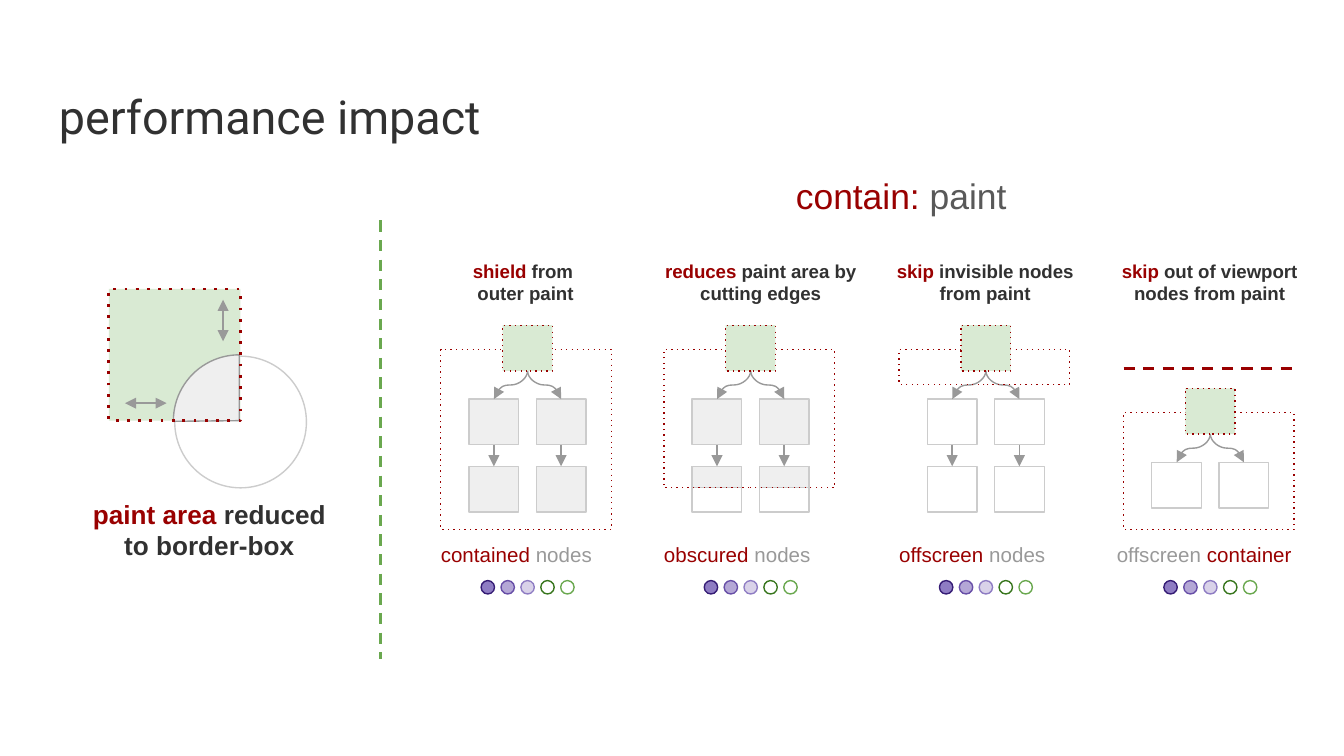
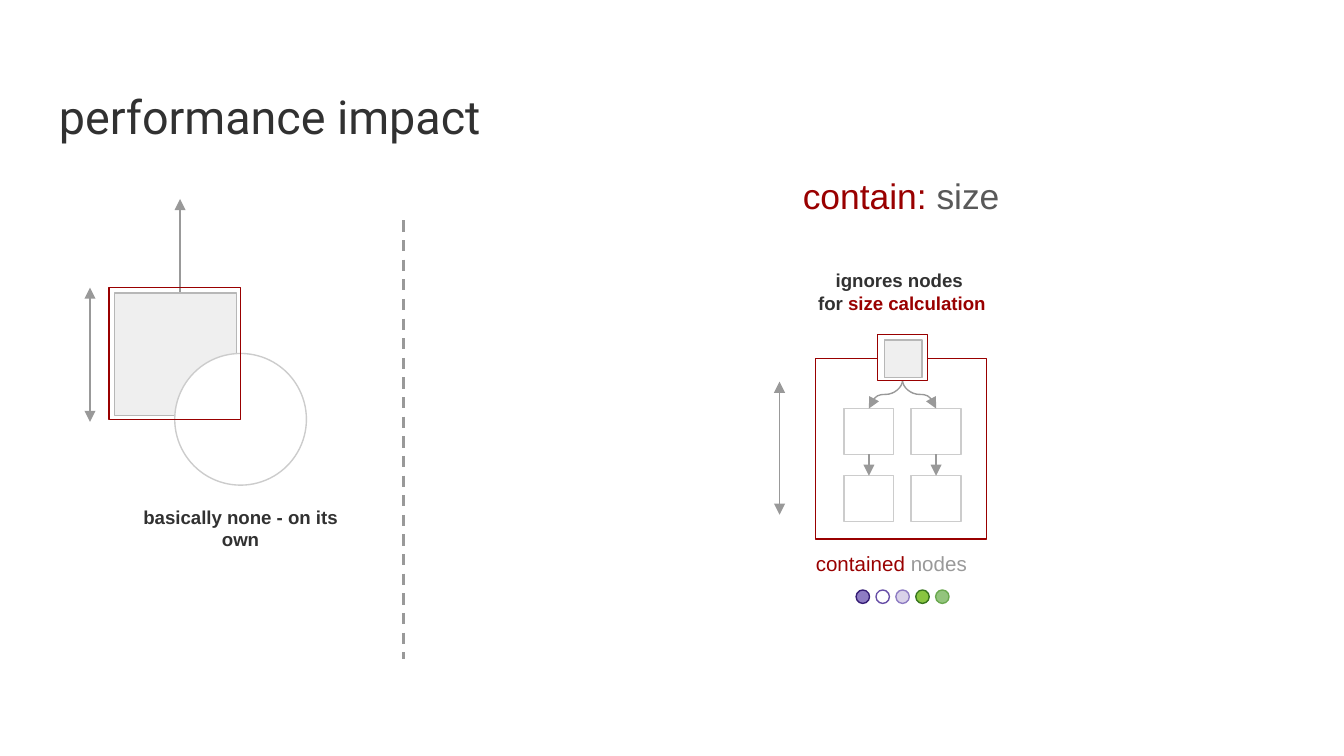
from lxml.etree import SubElement as Sub
from pptx import Presentation
from pptx.dml.color import RGBColor as RGB
from pptx.enum.shapes import MSO_CONNECTOR as Link, MSO_SHAPE as Form
from pptx.enum.text import MSO_ANCHOR as Anchor, PP_ALIGN as Align
from pptx.oxml.ns import qn
from pptx.util import Inches, Pt

WIDE = 10  # the grid: ten square columns across the slide
HIGH = WIDE * 9 / 16
RED, INK, SLATE, GREY = "990000", "313131", "595959", "999999"
PALE, EDGE, RIM, MINT, LEAF = "EFEFEF", "CCCCCC", "B7B7B7", "D9EAD3", "6AA84F"
WHITE = "FFFFFF"

NODE_W, NODE_H = 0.37, 0.34
STEP = 0.5        # from one node of a tree to the next, both ways
ROOT_X = 0.46     # root node, from the left of its tree
NODE_X = 0.21     # first column of nodes
NODE_Y = 0.55     # first row of nodes, from the top of the root
FRAME_Y, FRAME_W = 0.18, 1.27
HALF_H = 0.16
SIDE = 0.98       # the large square and circle at the left

RATING = [("8E7CC3", "351C75"), ("B4A7D6", "674EA7"), ("D9D2E9", "8E7CC3"),
          (WHITE, "38761D"), (WHITE, LEAF)]
SIZE_RATING = [RATING[0], (WHITE, "674EA7"), RATING[2],
               ("89C540", "38761D"), ("93C47D", LEAF)]


def tint(hue):
    return RGB.from_string(hue)


def grid(*spans):
    return [Inches(span) for span in spans]


def stroke(item, hue, width=0.75, dash=None, ends=()):
    """Style a line; ends holds any of headEnd and tailEnd, in that order."""
    line = item.line
    line.color.rgb = tint(hue)
    line.width = Pt(width)
    ln = item.element.spPr.find(qn("a:ln"))
    if dash:
        Sub(ln, qn("a:prstDash"), val=dash)
    for end in ends:
        Sub(ln, qn("a:" + end), type="triangle")


def draw(slide, form, box, fill=None, edge=None, width=0.75, dash=None):
    item = slide.shapes.add_shape(form, *grid(*box))
    item.shadow.inherit = False
    if fill:
        item.fill.solid()
        item.fill.fore_color.rgb = tint(fill)
    else:
        item.fill.background()
    if edge:
        stroke(item, edge, width, dash)
    else:
        item.line.fill.background()
    return item


def join(slide, start, stop, hue=GREY, kind=Link.STRAIGHT, **style):
    link = slide.shapes.add_connector(kind, *grid(*start, *stop))
    stroke(link, hue, **style)
    Sub(link.element.spPr, qn("a:effectLst"))
    return link


def span(slide, start, stop):
    """Draw an arrow with a head at both ends."""
    join(slide, start, stop, ends=("headEnd", "tailEnd"))


def bend(slide, start, stop):
    """Draw an S-curved arrow that leaves and arrives vertically."""
    (x1, y1), (x2, y2) = start, stop
    mid_x, mid_y = (x1 + x2) / 2, (y1 + y2) / 2
    left = x2 < x1
    dx = (y2 - y1) / 2 * (1 if left else -1)
    dy = abs(x2 - x1) / 2
    link = join(slide, (mid_x - dx, mid_y - dy), (mid_x + dx, mid_y + dy),
                kind=Link.CURVE, ends=("tailEnd",))
    turn = 90 if left else 270
    link.element.spPr.find(qn("a:xfrm")).set("rot", str(turn * 60000))


def write(slide, box, *paras, size=10, bold=False, face="Arial",
          align=Align.CENTER, anchor=Anchor.MIDDLE, inset=0, loose=False):
    """Each paragraph is a list of (text, colour); a newline is a line break."""
    frame = slide.shapes.add_textbox(*grid(*box)).text_frame
    pad = Inches(inset)
    look = dict(word_wrap=True, vertical_anchor=anchor, margin_left=pad,
                margin_right=pad, margin_top=pad, margin_bottom=pad)
    for name, value in look.items():
        setattr(frame, name, value)
    for i, runs in enumerate(paras):
        para = frame.add_paragraph() if i else frame.paragraphs[0]
        para.alignment = align
        if loose:
            para.line_spacing, para.space_after = 1.15, Pt(12)
        for words, hue in runs:
            for j, part in enumerate(words.split("\n")):
                if j:
                    para.add_line_break()
                    Sub(para._p[-1], qn("a:rPr"), sz=str(size * 100))
                run = para.add_run()
                run.text = part
                font = dict(name=face, size=Pt(size), bold=bold)
                for name, value in font.items():
                    setattr(run.font, name, value)
                run.font.color.rgb = tint(hue)


def start(deck, topic, rule_x, rule_hue):
    """Add a slide with the title, the topic and the dashed divider."""
    slide = deck.slides.add_slide(deck.slide_layouts[6])
    style = dict(anchor=Anchor.TOP, inset=0.1, loose=True)
    write(slide, (0.34, 0.49, 3.79, 0.63), [("performance impact", INK)],
          size=25, face="Roboto", align=Align.LEFT, **style)
    write(slide, (4.28, 1.15, 4.85, 0.68),
          [("contain: ", RED), (topic, SLATE)], size=19, **style)
    join(slide, (rule_x, 1.64), (rule_x, 4.9), rule_hue, width=1.5, dash="dash")
    return slide


def tree(slide, x, y, tall, rows=2, fill=None, half=False, root=MINT, dash="dot"):
    """Draw a root with two columns of nodes, and a frame of the given height."""
    top = x + ROOT_X + NODE_W / 2, y + NODE_H
    for col in range(2):
        left = x + NODE_X + col * STEP
        mid = left + NODE_W / 2
        for row in range(rows):
            node_y = y + NODE_Y + row * STEP
            cut = half and row == rows - 1
            draw(slide, Form.RECTANGLE, (left, node_y, NODE_W, NODE_H),
                 None if cut else fill, EDGE)
            if cut:
                draw(slide, Form.RECTANGLE, (left, node_y, NODE_W, HALF_H),
                     fill, EDGE)
            if row:
                join(slide, (mid, node_y - STEP + NODE_H), (mid, node_y),
                     ends=("tailEnd",))
            else:
                bend(slide, top, (mid, node_y))
    draw(slide, Form.RECTANGLE, (x, y + FRAME_Y, FRAME_W, tall),
         edge=RED, dash=dash)
    draw(slide, Form.RECTANGLE, (x + ROOT_X, y, NODE_W, NODE_H),
         root, RED, dash=dash)


def legend(slide, x, y, head, label, rating=RATING, shift=-0.09, nudge=0):
    """Put the heading above a tree, and its label and rating below."""
    write(slide, (x + shift, y, 1.46, 0.26), *head, bold=True)
    write(slide, (x + nudge, y + 2.04, FRAME_W - 2 * nudge, 0.23), label,
          size=11, align=Align.LEFT)
    for i, (fill, edge) in enumerate(rating):
        draw(slide, Form.OVAL, (x + 0.3 + i * 0.148, y + 2.35, 0.1, 0.1),
             fill, edge)


def paint(deck):
    slide = start(deck, "paint", 2.83, LEAF)
    box = (0.81, 2.15, SIDE, SIDE)
    draw(slide, Form.OVAL, (1.3, 2.65, SIDE, SIDE), WHITE, EDGE)
    draw(slide, Form.RECTANGLE, box, MINT)
    wedge = draw(slide, Form.PIE, (1.29, 2.64, SIDE, SIDE), PALE, GREY)
    wedge.adjustments[0], wedge.adjustments[1] = 107.65, 162
    draw(slide, Form.RECTANGLE, box, edge=RED, width=1.5, dash="dot")
    span(slide, (0.93, 3), (1.24, 3))
    span(slide, (1.66, 2.23), (1.66, 2.54))
    write(slide, (0.43, 3.73, 2.31, 0.42),
          [("paint area ", RED), ("reduced \nto border-box ", INK)],
          size=14, bold=True)

    y = 2.42
    cases = [
        (3.28, y, dict(tall=1.34, fill=PALE), "shield ", "from \nouter paint",
         [("contained", RED), (" nodes", GREY)], dict(shift=-0.1)),
        (4.94, y, dict(tall=1.03, fill=PALE, half=True), "reduces ",
         "paint area by cutting edges",
         [("obscured ", RED), ("nodes", GREY)], dict(shift=-0.01)),
        (6.69, y, dict(tall=0.26), "skip ", "invisible nodes from paint",
         [("offscreen", RED), (" nodes", GREY)], {}),
        (8.36, 2.89, dict(tall=0.87, rows=1, fill=WHITE), "skip ",
         "out of viewport\nnodes from paint",
         [("offscreen ", GREY), ("container", RED)], dict(nudge=-0.05)),
    ]
    for x, top, shape, verb, rest, label, moves in cases:
        tree(slide, x, top, **shape)
        legend(slide, x, 1.97, [[(verb, RED), (rest, INK)]], label, **moves)
    join(slide, (8.36, 2.74), (9.64, 2.74), RED, width=1.5, dash="dash")


def size(deck):
    slide = start(deck, "size", 3, GREY)
    span(slide, (0.67, 2.14), (0.67, 3.14))
    span(slide, (1.34, 1.48), (1.34, 2.47))
    draw(slide, Form.RECTANGLE, (0.85, 2.18, 0.91, 0.91), PALE, RIM)
    draw(slide, Form.OVAL, (1.3, 2.63, SIDE, SIDE), WHITE, EDGE)
    draw(slide, Form.RECTANGLE, (0.81, 2.14, SIDE, SIDE), edge=RED)
    write(slide, (1.06, 3.8, 1.46, 0.26), [("basically none - on its own", INK)],
          bold=True)

    x, y = 6.07, 2.49
    tree(slide, x, y, 1.34, root=WHITE, dash=None)
    draw(slide, Form.RECTANGLE, (x + 0.51, y + 0.04, 0.28, 0.28), PALE, RIM)
    span(slide, (5.8, 2.84), (5.8, 3.83))
    head = [[("ignores nodes ", INK)],
            [("for ", INK), ("size calculation", RED)]]
    legend(slide, x, 2.04, head, [("contained", RED), (" nodes", GREY)],
           SIZE_RATING)


def main():
    deck = Presentation()
    deck.slide_width, deck.slide_height = grid(WIDE, HIGH)
    paint(deck)
    size(deck)
    deck.save("out.pptx")


if __name__ == "__main__":
    main()
